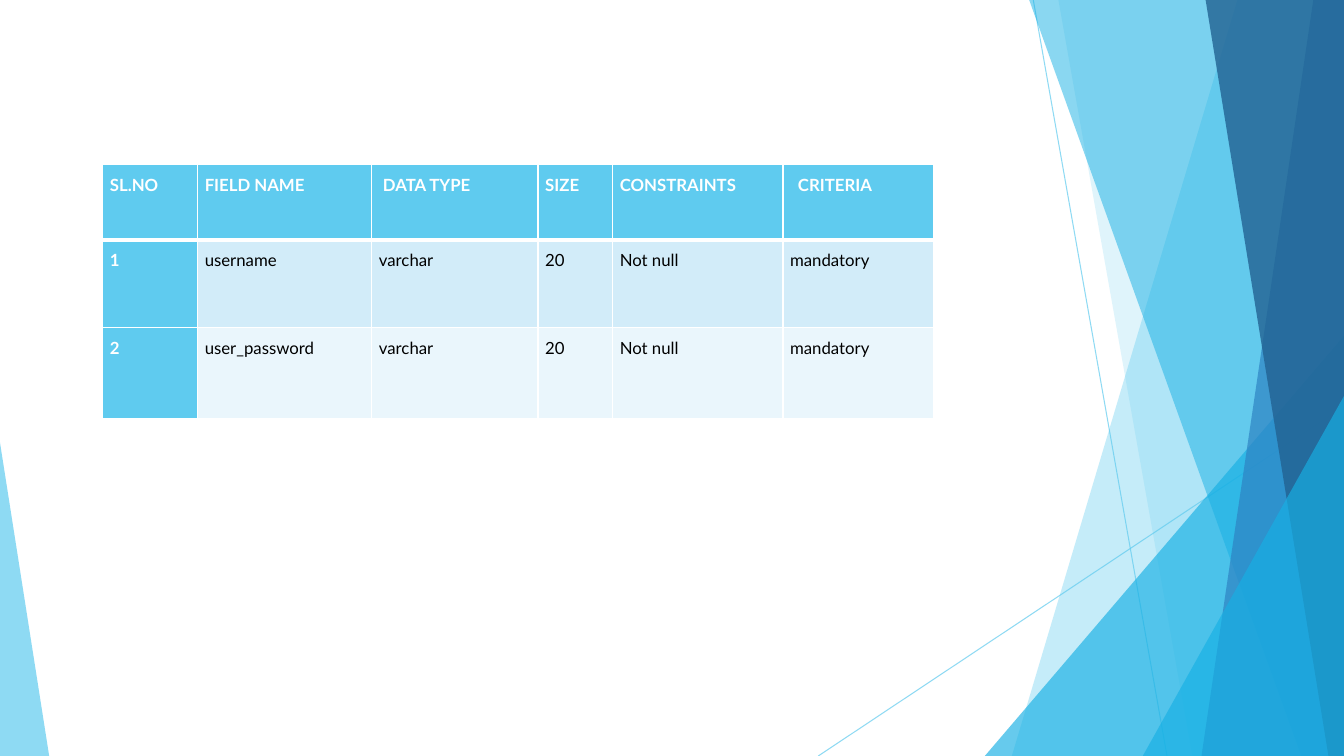
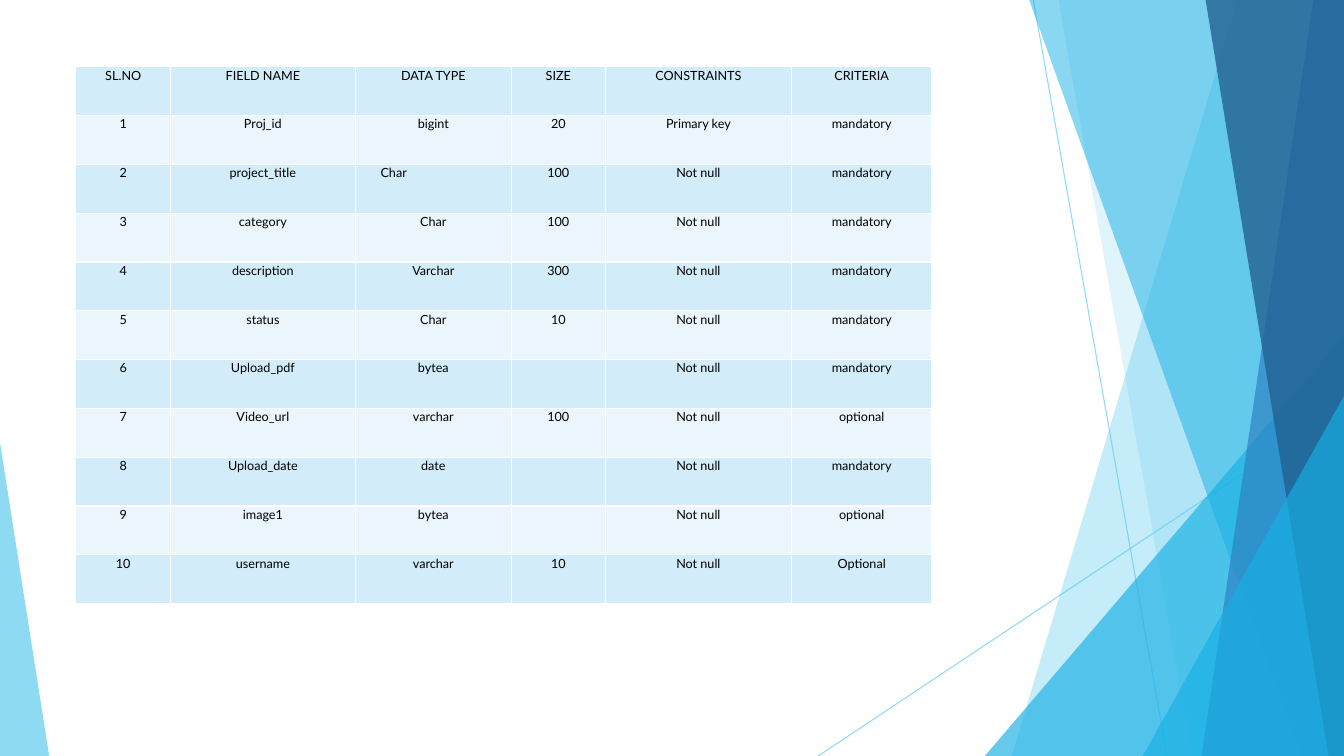
import pptx
import pptx.dml.color
import pptx.enum.shapes
import pptx.enum.text
import pptx.oxml
import pptx.oxml.ns
import pptx.util

Cm = pptx.util.Cm
Pt = pptx.util.Pt
ALIGN = pptx.enum.text.PP_ALIGN

FONT = "Lato"
WHITE, BLACK = "FFFFFF", "000000"
SKY, CYAN, BLUE, NAVY = "5FCBEF", "17B0E4", "2E83C3", "226292"
DARK_ROW, LIGHT_ROW = "D2ECF9", "EAF6FC"
WIDTH, HEIGHT = 33.87, 19.05


def paint(fill, color, opacity=100):
    fill.solid()
    fill.fore_color.rgb = pptx.dml.color.RGBColor.from_string(color)
    if opacity < 100:
        alpha = pptx.oxml.parse_xml(
            f'<a:alpha {pptx.oxml.ns.nsdecls("a")} val="{opacity * 1000}"/>'
        )
        fill._xPr.find(pptx.oxml.ns.qn("a:solidFill"))[0].append(alpha)


def write(cell, text, size, color=BLACK, bold=False, align=ALIGN.CENTER, spacing=1.0):
    para = cell.text_frame.paragraphs[0]
    para.alignment = align
    para.line_spacing = spacing
    para.space_after = Pt(8)
    span = para.add_run()
    span.text = text
    span.font.name = FONT
    span.font.size = Pt(size)
    span.font.bold = bold
    paint(span.font.fill, color)


deck = pptx.Presentation()
deck.slide_width = Cm(WIDTH)
deck.slide_height = Cm(HEIGHT)
blank = deck.slide_layouts[6]
for placeholder in list(blank.placeholders):
    blank.shapes.element.remove(placeholder.element)

tables = [
    {
        "left": 2.59,
        "top": 4.14,
        "columns": [2.39, 4.39, 4.19, 1.88, 4.29, 3.81],
        "heights": [1.91, 2.21, 2.29],
        "inset": 0.18,
        "indents": {(0, 2): 0.1, (0, 5): 0.2},
        "accented": True,
        "format": {"size": 12, "align": ALIGN.JUSTIFY, "spacing": 1.5},
        "rows": [
            ["SL.NO", "FIELD NAME", "DATA TYPE", "SIZE", "CONSTRAINTS", "CRITERIA"],
            ["1", "username", "varchar", "20", "Not null", "mandatory"],
            ["2", "user_password", "varchar", "20", "Not null", "mandatory"],
        ],
    },
    {
        "left": 1.91,
        "top": 1.68,
        "columns": [2.39, 4.65, 3.94, 2.36, 4.7, 3.53],
        "heights": [1.23] * 11,
        "inset": 0.15,
        "indents": {(2, 2): 0.49},
        "accented": False,
        "format": {"size": 9, "spacing": 1.07},
        "rows": [
            ["SL.NO", "FIELD NAME", "DATA TYPE", "SIZE", "CONSTRAINTS", "CRITERIA"],
            ["1", "Proj_id", "bigint", "20", "Primary key", "mandatory"],
            ["2", "project_title", "Char", "100", "Not null", "mandatory"],
            ["3", "category", "Char", "100", "Not null", "mandatory"],
            ["4", "description", "Varchar", "300", "Not null", "mandatory"],
            ["5", "status", "Char", "10", "Not null", "mandatory"],
            ["6", "Upload_pdf", "bytea", "", "Not null", "mandatory"],
            ["7", "Video_url", "varchar", "100", "Not null", "optional"],
            ["8", "Upload_date", "date", "", "Not null", "mandatory"],
            ["9", "image1", "bytea", "", "Not null", "optional"],
            ["10", "username", "varchar", "10", "Not null", "Optional"],
        ],
    },
]
pages = [deck.slides.add_slide(blank) for _ in tables]

facets = pages[0].shapes.add_group_shape()
for x1, y1, x2, y2 in [(26.04, 0, 29.41, HEIGHT), (WIDTH, 10.24, 20.62, HEIGHT)]:
    ray = facets.shapes.add_connector(
        pptx.enum.shapes.MSO_CONNECTOR.STRAIGHT, Cm(x1), Cm(y1), Cm(x2), Cm(y2)
    )
    ray.line.width = Pt(0.75)
    paint(ray.line.fill, SKY, 70)
    ray._element.spPr.append(pptx.oxml.parse_xml(
        f'<a:effectLst {pptx.oxml.ns.nsdecls("a")}/>'
    ))

for kind, geometry, color, opacity in [
    ("band", (31.19, 25.5), SKY, 36),
    ("band", (26.67, 30.05), SKY, 20),
    ("triangle", (24.82, 8.46, WIDTH, 1), CYAN, 66),
    ("band", (25.93, 32.79), CYAN, 50),
    ("band", (33.1, 30.28), BLUE, 70),
    ("band", (30.38, 33.48), NAVY, 80),
    ("triangle", (28.8, 9.98, WIDTH, 1), CYAN, 66),
    ("triangle", (0, 11.15, 1.24, 0), SKY, 70),
]:
    if kind == "band":
        top_x, bottom_x = geometry
        outline = facets.shapes.build_freeform(Cm(top_x), Cm(-0.02))
        outline.add_line_segments([
            (Cm(WIDTH), Cm(-0.02)),
            (Cm(WIDTH), Cm(HEIGHT)),
            (Cm(bottom_x), Cm(HEIGHT)),
        ])
        facet = outline.convert_to_shape()
    else:
        left, top, right, apex = geometry
        facet = facets.shapes.add_shape(
            pptx.enum.shapes.MSO_SHAPE.ISOSCELES_TRIANGLE,
            Cm(left), Cm(top), Cm(right - left), Cm(HEIGHT - top),
        )
        facet.adjustments[0] = apex
    facet.shadow.inherit = False
    facet.line.fill.background()
    paint(facet.fill, color, opacity)
blank.shapes.element.append(facets.element)

for page, fields in zip(pages, tables):
    rows, columns, heights = fields["rows"], fields["columns"], fields["heights"]
    accented = fields["accented"]
    table = page.shapes.add_table(
        len(rows), len(columns), Cm(fields["left"]), Cm(fields["top"]),
        Cm(sum(columns)), Cm(sum(heights)),
    ).table
    table.first_row = table.first_col = accented
    table.horz_banding = False
    for column, width in zip(table.columns, columns):
        column.width = Cm(width)
    for row, height in zip(table.rows, heights):
        row.height = Cm(height)

    for r, texts in enumerate(rows):
        for c, text in enumerate(texts):
            cell = table.cell(r, c)
            heading = accented and (r == 0 or c == 0)
            dark = r % 2 == (1 if accented else 0)
            paint(cell.fill, SKY if heading else DARK_ROW if dark else LIGHT_ROW)
            cell.margin_left = Cm(fields["inset"] + fields["indents"].get((r, c), 0))
            cell.margin_right = Cm(fields["inset"])
            cell.margin_top = cell.margin_bottom = 0
            if text:
                align = {"align": ALIGN.LEFT} if (r, c) in fields["indents"] else {}
                write(cell, text, color=WHITE if heading else BLACK, bold=heading,
                      **{**fields["format"], **align})
            for place, side in enumerate(["lnL", "lnR", "lnT", "lnB"]):
                under_header = accented and (r, side) in [(0, "lnB"), (1, "lnT")]
                border = pptx.oxml.parse_xml(
                    f'<a:{side} {pptx.oxml.ns.nsdecls("a")} w="{Pt(3 if under_header else 1)}">'
                    f'<a:solidFill><a:srgbClr val="{WHITE}"/></a:solidFill></a:{side}>'
                )
                cell._tc.get_or_add_tcPr().insert(place, border)

deck.save("out.pptx")
